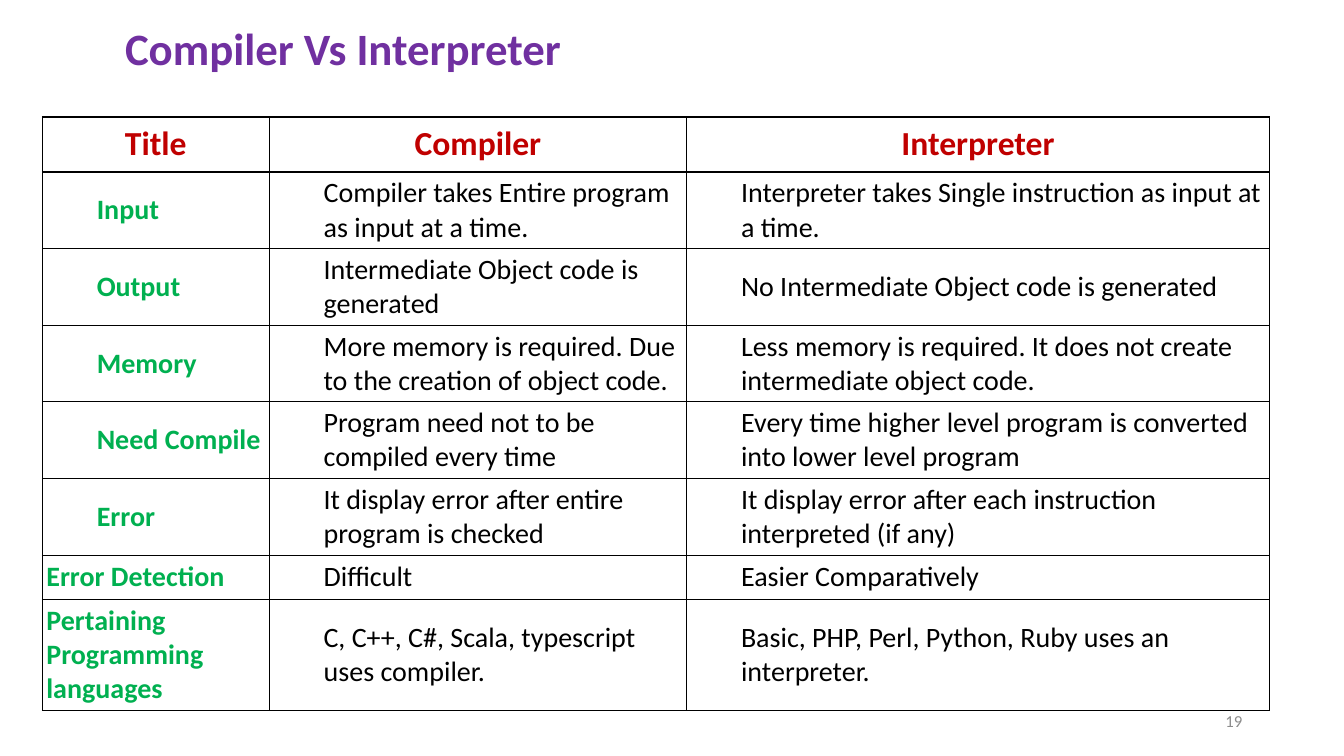
from lxml import etree
from pptx import Presentation
from pptx.dml.color import RGBColor
from pptx.enum.text import MSO_ANCHOR, PP_ALIGN
from pptx.oxml.ns import qn
from pptx.util import Inches, Pt

LEFT, CENTER, RIGHT = PP_ALIGN.LEFT, PP_ALIGN.CENTER, PP_ALIGN.RIGHT
TOP, MIDDLE = MSO_ANCHOR.TOP, MSO_ANCHOR.MIDDLE
PURPLE = RGBColor(0x70, 0x30, 0xA0)
RED = RGBColor(0xC0, 0x00, 0x00)
GREEN = RGBColor(0x00, 0xB0, 0x50)
BLACK = RGBColor(0x00, 0x00, 0x00)
GRAY = RGBColor(0x8C, 0x8C, 0x8C)

COLUMN_WIDTHS = [2.25, 4.14, 5.78]
ROW_HEIGHTS = [0.54, 0.71, 0.7, 0.71, 0.71, 0.71, 0.44, 1.08]
ROWS = [
    ("Title", "Compiler", "Interpreter"),
    ("Input", "Compiler takes Entire program as input at a time.",
     "Interpreter takes Single instruction as input at a time."),
    ("Output", "Intermediate Object code is generated",
     "No Intermediate Object code is generated"),
    ("Memory", "More memory is required. Due to the creation of object code.",
     "Less memory is required. It does not create intermediate object code."),
    ("Need Compile", "Program need not to be compiled every time",
     "Every time higher level program is converted into lower level program"),
    ("Error", "It display error after entire program is checked",
     "It display error after each instruction interpreted (if any)"),
    ("Error Detection", "Difficult", "Easier Comparatively"),
    ("Pertaining Programming languages", "C, C++, C#, Scala, typescript uses compiler.",
     "Basic, PHP, Perl, Python, Ruby uses an interpreter."),
]
UNINDENTED = ("Error Detection", "Pertaining Programming languages")


def write_text(text_frame, text, size, color, bold, alignment):
    paragraph = text_frame.paragraphs[0]
    paragraph.alignment = alignment
    run = paragraph.add_run()
    run.text = text
    run.font.color.rgb = color
    font_format = {"name": "Calibri", "size": Pt(size), "bold": bold}
    for name, value in font_format.items():
        setattr(run.font, name, value)
    return paragraph


def add_borders(cell):
    properties = cell._tc.get_or_add_tcPr()
    for side in ("a:lnL", "a:lnR", "a:lnT", "a:lnB"):
        line = etree.SubElement(properties, qn(side), w=str(Pt(1)))
        fill = etree.SubElement(line, qn("a:solidFill"))
        etree.SubElement(fill, qn("a:srgbClr"), val=str(BLACK))


presentation = Presentation()
presentation.slide_width = Inches(13.33)
presentation.slide_height = Inches(7.5)
slide = presentation.slides.add_slide(presentation.slide_layouts[5])

table_shape = slide.shapes.add_table(
    len(ROWS), len(COLUMN_WIDTHS), Inches(0.42), Inches(1.16),
    Inches(sum(COLUMN_WIDTHS)), Inches(sum(ROW_HEIGHTS)))
table = table_shape.table
table.first_row = False
table.horz_banding = False
for column, width in zip(table.columns, COLUMN_WIDTHS):
    column.width = Inches(width)
for row, height in zip(table.rows, ROW_HEIGHTS):
    row.height = Inches(height)

for row_index, texts in enumerate(ROWS):
    is_header = row_index == 0
    vertical_margin = Inches(0.07 if is_header else 0.04)
    for column_index, text in enumerate(texts):
        cell = table.cell(row_index, column_index)
        cell_format = {
            "vertical_anchor": MIDDLE,
            "margin_left": Inches(0.04), "margin_right": Inches(0.04),
            "margin_top": vertical_margin, "margin_bottom": vertical_margin,
        }
        for name, value in cell_format.items():
            setattr(cell, name, value)
        add_borders(cell)
        cell.fill.background()
        if is_header:
            write_text(cell.text_frame, text, 24, RED, True, CENTER)
            continue
        is_label = column_index == 0
        paragraph = write_text(
            cell.text_frame, text, 20, GREEN if is_label else BLACK, is_label, LEFT)
        if text not in UNINDENTED:
            paragraph.level = 1
            paragraph_properties = paragraph._p.get_or_add_pPr()
            paragraph_properties.set("marL", str(Inches(0.5)))
            paragraph_properties.set("indent", "0")

slide_number = slide.shapes.add_textbox(Inches(9.42), Inches(6.95), Inches(3), Inches(0.4))
slide_number.text_frame.word_wrap = True
slide_number.text_frame.vertical_anchor = MIDDLE
write_text(slide_number.text_frame, "19", 12, GRAY, False, RIGHT)

title = slide.shapes.title
title_box = {"left": 1.14, "top": 0.16, "width": 6.58, "height": 0.64}
for name, value in title_box.items():
    setattr(title, name, Inches(value))
title.text_frame.vertical_anchor = TOP
title.text_frame.word_wrap = True
write_text(title.text_frame, "Compiler Vs Interpreter", 32, PURPLE, True, LEFT)

presentation.save("out.pptx")
